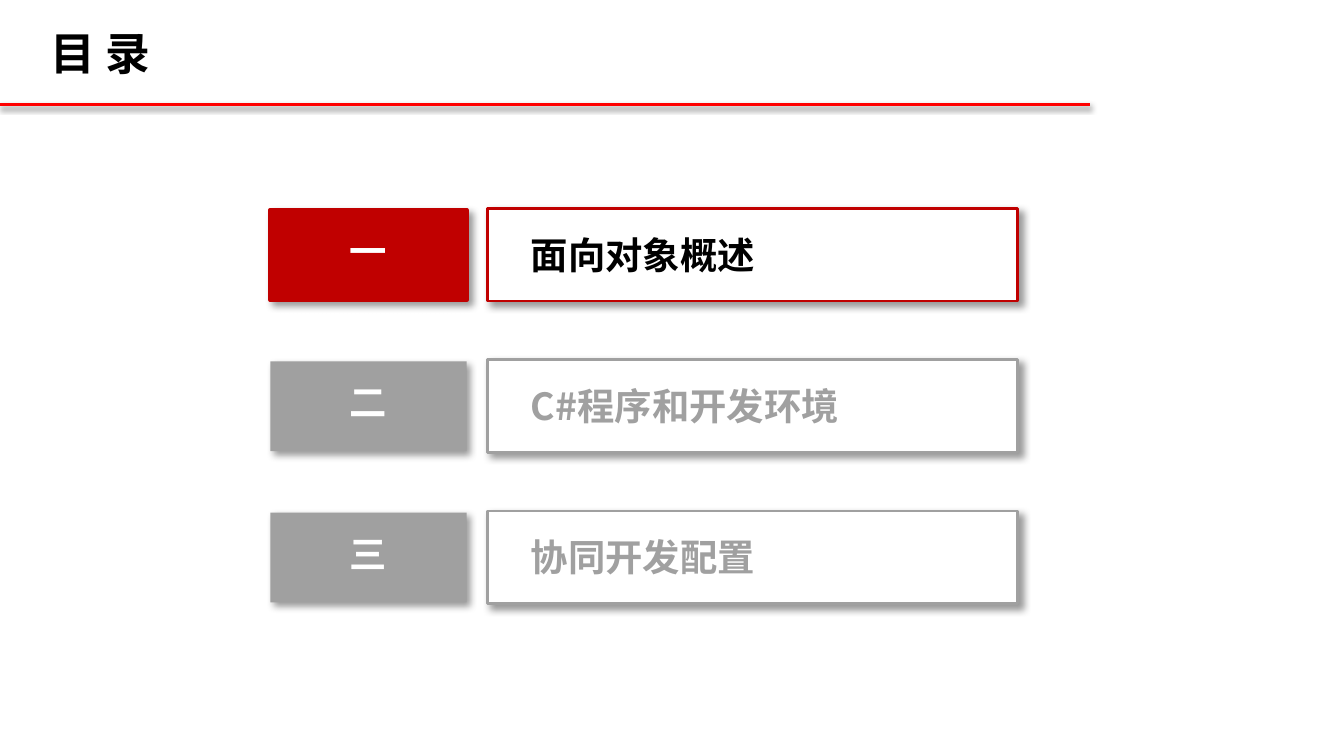
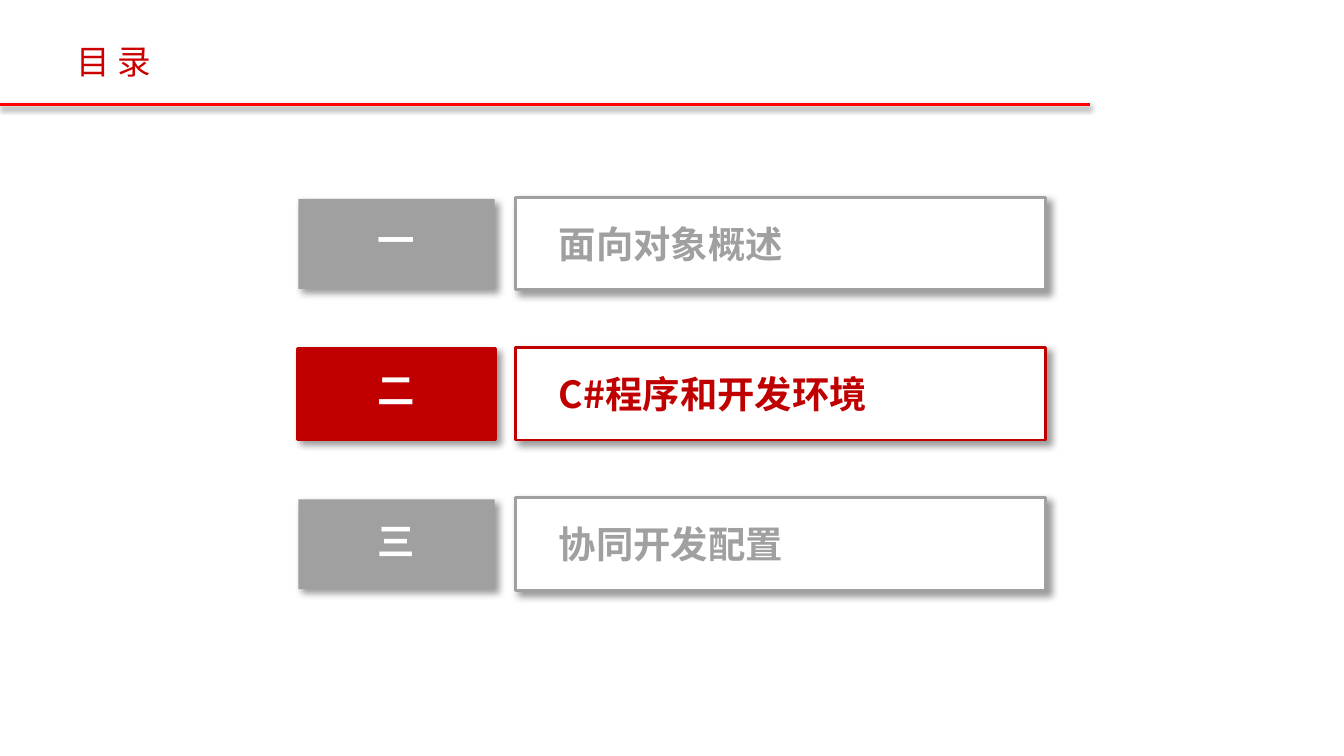
"""Build two agenda slides, each with one chapter highlighted."""
import pptx
import pptx.dml.color
import pptx.enum.shapes
import pptx.enum.text
import pptx.oxml
import pptx.oxml.ns
import pptx.util

Cm = pptx.util.Cm
Pt = pptx.util.Pt
RGB = pptx.dml.color.RGBColor
RECT = pptx.enum.shapes.MSO_SHAPE.RECTANGLE
LINE = pptx.enum.shapes.MSO_CONNECTOR.STRAIGHT
GROW = pptx.enum.text.MSO_AUTO_SIZE.SHAPE_TO_FIT_TEXT
MID = pptx.enum.text.MSO_ANCHOR.MIDDLE
MAIN = pptx.oxml.ns.nsdecls("a")

RED = RGB(0xC0, 0x00, 0x00)
ROSE = RGB(0xCC, 0x00, 0x00)
BRIGHT = RGB(0xFF, 0x00, 0x00)
GREY = RGB(0xA0, 0xA0, 0xA0)
WHITE = RGB(0xFF, 0xFF, 0xFF)
BLACK = RGB(0x00, 0x00, 0x00)

HAN = "Noto Sans CJK SC"
HEAD = "目 录"
ITEMS = [("一", "面向对象概述"), ("二", "C#程序和开发环境"), ("三", "协同开发配置")]
TAG = {"name": "Arial", "size": Pt(20), "bold": True}
LABEL = {"name": HAN, "size": Pt(20), "bold": True}

PAGES = [
    {"active": 0, "ink": BLACK, "left": 5.11, "top": 3.94, "pitch": 2.86,
     "title": (0.71, 0.36, 2.64, 1.27), "color": BLACK, "edge": False,
     "look": {"name": HAN, "size": Pt(24), "bold": True}},
    {"active": 1, "ink": RED, "left": 5.64, "top": 3.73, "pitch": 2.84,
     "title": (1.19, 0.64, 1.98, 1.02), "color": ROSE, "edge": True,
     "look": {"name": HAN, "size": Pt(18), "bold": False}},
]


def shade(shape, alpha, blur, dist, angle):
    shape._element.spPr.append(pptx.oxml.parse_xml(
        f'<a:effectLst {MAIN}><a:outerShdw blurRad="{Pt(blur)}" dist="{Pt(dist)}" '
        f'dir="{angle * 60000}" algn="tl" rotWithShape="0"><a:srgbClr val="000000">'
        f'<a:alpha val="{alpha * 1000}"/></a:srgbClr></a:outerShdw></a:effectLst>'))


def write(shape, text, look, color):
    para = shape.text_frame.paragraphs[0]
    run = para.add_run()
    run.text = text
    for key, value in look.items():
        setattr(run.font, key, value)
    run.font.color.rgb = color
    if look["name"] == HAN:
        latin = run._r.rPr.find(pptx.oxml.ns.qn("a:latin"))
        latin.addnext(pptx.oxml.parse_xml(f'<a:ea {MAIN} typeface="{HAN}"/>'))
    return para


deck = pptx.Presentation()
deck.slide_width, deck.slide_height = Cm(25.4), Cm(14.29)

for page in PAGES:
    slide = deck.slides.add_slide(deck.slide_layouts[6])
    rule = slide.shapes.add_connector(LINE, 0, Cm(1.98), Cm(20.6), Cm(1.98))
    rule.line.color.rgb = BRIGHT
    rule.line.width = Pt(1.5)
    shade(rule, 38, 3.1, 1.6, 90)

    title = slide.shapes.add_textbox(*map(Cm, page["title"]))
    title.text_frame.word_wrap = False
    title.text_frame.auto_size = GROW
    para = write(title, HEAD, page["look"], page["color"])
    if page["edge"]:
        para.runs[0]._r.rPr.insert(0, pptx.oxml.parse_xml(
            f'<a:ln {MAIN} w="{Pt(0.5)}"><a:solidFill><a:srgbClr val="{ROSE}"/>'
            '</a:solidFill></a:ln>'))

    for row, (mark, name) in enumerate(ITEMS):
        active = row == page["active"]
        tone = RED if active else GREY
        left, top = page["left"], page["top"] + row * page["pitch"]
        group = slide.shapes.add_group_shape()

        tag = group.shapes.add_shape(RECT, Cm(left), Cm(top + 0.03), Cm(3.71), Cm(1.7))
        frame = group.shapes.add_shape(RECT, Cm(left + 4.11), Cm(top), Cm(10.01), Cm(1.75))
        for box, fill, width in ((tag, tone, 2.25), (frame, WHITE, 1.5)):
            box.fill.solid()
            box.fill.fore_color.rgb = fill
            if box is tag and not active:
                box.line.fill.background()
            else:
                box.line.color.rgb = tone
                box.line.width = Pt(width)
            shade(box, 40, 4, 3, 45)

        tag.text_frame.word_wrap = False
        tag.text_frame.vertical_anchor = MID
        para = write(tag, mark, TAG, WHITE)
        para.alignment = pptx.enum.text.PP_ALIGN.CENTER
        para.line_spacing = 0.8
        para._p.pPr.set("marL", str(Cm(0.95)))
        para._p.pPr.set("indent", str(-Cm(0.95)))

        label = group.shapes.add_textbox(Cm(left + 4.67), Cm(top + 0.32), Cm(8.92), Cm(1.12))
        label.text_frame.word_wrap = True
        label.text_frame.auto_size = GROW
        write(label, name, LABEL, page["ink"] if active else GREY)

deck.save("out.pptx")
